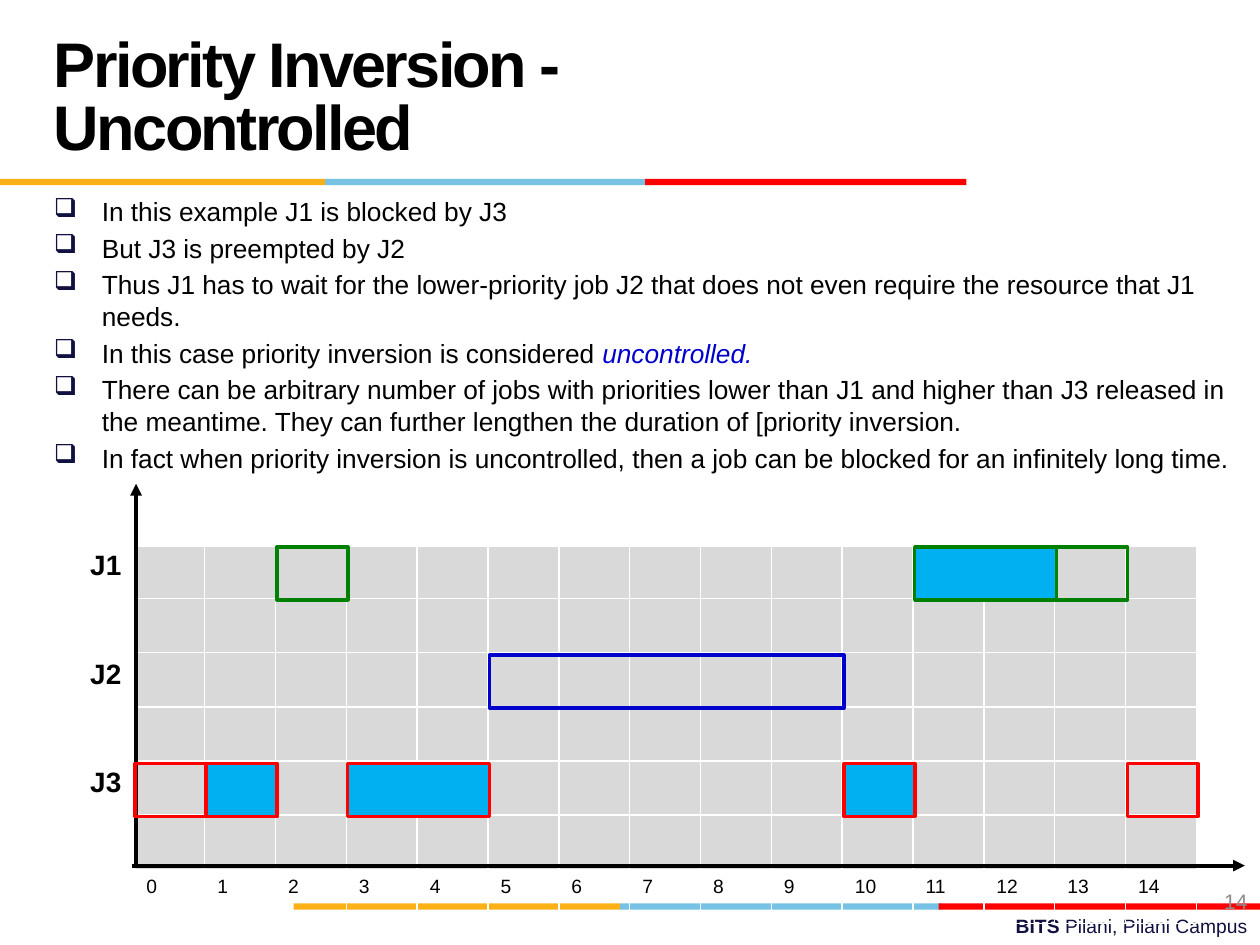
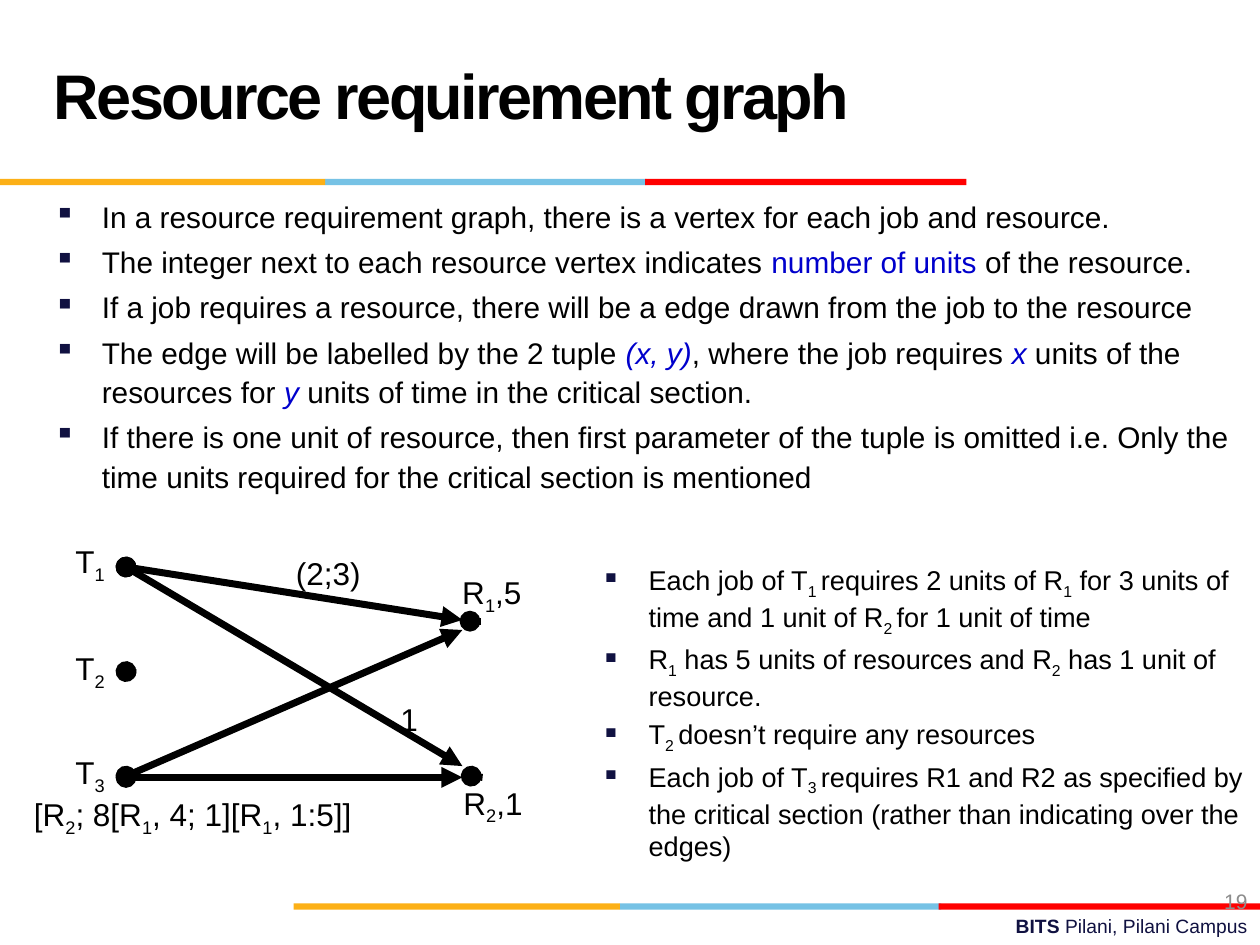
from dataclasses import dataclass
from typing import NamedTuple

from lxml.etree import SubElement
from pptx import Presentation
from pptx.dml.color import RGBColor
from pptx.enum.shapes import MSO_CONNECTOR, MSO_SHAPE
from pptx.enum.text import MSO_ANCHOR, PP_ALIGN
from pptx.oxml.ns import qn
from pptx.util import Inches, Pt

FONT = "Arial"
BLACK, WHITE, NAVY, GREY, BLUE = "000000", "FFFFFF", "101141", "8C8C8C", "0000CC"
GREEN, RED, BUSY, CELL = "008000", "FF0000", "00B0F0", "D9D9D9"
ORANGE, SKY = "FCB017", "76C2E5"

GRID_LEFT, GRID_TOP, GRID_WIDTH, GRID_HEIGHT = 0.5, 3.89, 9, 3.44
GRID_COLUMNS, GRID_ROWS = 16, 8
TIME_STEP = GRID_WIDTH / GRID_COLUMNS
TIME_ORIGIN = GRID_LEFT + TIME_STEP + 0.01
JOB_TOP, JOB_PITCH, JOB_HEIGHT = 4.34, 0.86, 0.42


class Band(NamedTuple):
    """A coloured strip of the title rule or footer rule."""
    left: float
    top: float
    width: float
    color: str


class Span(NamedTuple):
    """A stretch of text with its own look."""
    text: str
    color: str = BLACK
    italic: bool = False
    bold: bool = False
    subscript: bool = False


@dataclass
class TextStyle:
    """How the paragraphs of a text box are set."""
    size: float
    align: PP_ALIGN = PP_ALIGN.LEFT
    anchor: MSO_ANCHOR = MSO_ANCHOR.TOP
    line_spacing: float | Pt | None = None
    bullet: str = ""
    tracking: int = 0
    wrap: bool = True


class Execution(NamedTuple):
    """A period in which a job runs; holding means it uses the resource."""
    job: int
    start: int
    end: int
    holding: bool = False


class Edge(NamedTuple):
    """A line between two points with its line ends."""
    start: tuple[float, float]
    end: tuple[float, float]
    width: float = 4
    head: str = "oval"
    tail: str = "triangle"


class Label(NamedTuple):
    """A one-line caption of the graph."""
    left: float
    top: float
    width: float
    spans: list[Span]


def sub(text: str) -> Span:
    """Return a subscript span."""
    return Span(text, subscript=True)


BANDS = [
    Band(2.58, 1.42, 2.55, SKY), Band(0, 1.42, 2.58, ORANGE), Band(5.12, 1.42, 2.55, RED),
    Band(4.92, 7.17, 2.55, SKY), Band(2.33, 7.17, 2.59, ORANGE), Band(7.45, 7.17, 2.55, RED),
]
TITLE = TextStyle(36, anchor=MSO_ANCHOR.MIDDLE, line_spacing=Pt(36), tracking=-150)
FOOTER = TextStyle(11, align=PP_ALIGN.RIGHT)
NUMBER = TextStyle(12, align=PP_ALIGN.RIGHT, anchor=MSO_ANCHOR.MIDDLE)
CAPTION = TextStyle(18, wrap=False)

INVERSION_POINTS = [
    [Span("In this example J1 is blocked by J3")],
    [Span("But J3 is preempted by J2")],
    [Span("Thus J1 has to wait for the lower-priority job J2 that does not even "
          "require the resource that J1 needs.")],
    [Span("In this case priority inversion is considered "),
     Span("uncontrolled.", BLUE, italic=True)],
    [Span("There can be arbitrary number of jobs with priorities lower than J1 and "
          "higher than J3 released in the meantime. They can further lengthen the "
          "duration of [priority inversion.")],
    [Span("In fact when priority inversion is uncontrolled, then a job can be blocked "
          "for an infinitely long time.")],
]
JOB_COLORS = [GREEN, BLUE, RED]
EXECUTIONS = [
    Execution(0, 2, 3), Execution(2, 0, 1), Execution(1, 5, 10),
    Execution(2, 1, 2, True), Execution(2, 3, 5, True), Execution(0, 11, 13, True),
    Execution(0, 13, 14), Execution(2, 10, 11, True), Execution(2, 14, 15),
]
AXES = [
    Edge((1.08, 6.87), (1.08, 3.84), 2.25, head="none"),
    Edge((1.05, 6.87), (9.88, 6.87), 2.25, head="none"),
]

GRAPH_POINTS = [
    [Span("In a resource requirement graph, there is a vertex for each job and resource.")],
    [Span("The integer next to each resource vertex indicates "),
     Span("number of units ", BLUE), Span("of the resource.")],
    [Span("If a job requires a resource, there will be a edge drawn from the job to "
          "the resource")],
    [Span("The edge will be labelled by the 2 tuple "), Span("(x, y)", BLUE, italic=True),
     Span(", where the job requires "), Span("x", BLUE, italic=True),
     Span(" units of the resources for "), Span("y", BLUE, italic=True),
     Span(" units of time in the critical section.")],
    [Span("If there is one unit of resource, then first parameter of the tuple is "
          "omitted i.e. Only the time units required for the critical section is "
          "mentioned")],
]
EXAMPLE_POINTS = [
    [Span("Each job of T"), sub("1 "), Span("requires 2 units of R"), sub("1"),
     Span(" for 3 units of time and 1 unit of R"), sub("2 "), Span("for 1 unit of time")],
    [Span("R"), sub("1"), Span(" has 5 units of resources and R"), sub("2"),
     Span(" has 1 unit of resource.")],
    [Span("T"), sub("2 "), Span("doesn’t require any resources")],
    [Span("Each job of T"), sub("3 "),
     Span("requires R1 and R2 as specified by the critical section (rather than "
          "indicating over the edges)")],
]
GRAPH_EDGES = [
    Edge((1, 4.5), (3.67, 4.92)),
    Edge((1, 6.16), (3.67, 5)),
    Edge((3.73, 4.93), (3.82, 4.93), tail="none"),
    Edge((1, 5.33), (1.08, 5.34), tail="none"),
    Edge((3.74, 6.16), (3.83, 6.17), tail="none"),
    Edge((1, 4.5), (3.67, 6.08)),
    Edge((1, 6.17), (3.67, 6.17)),
]
GRAPH_LABELS = [
    Label(0.5, 4.25, 0.45, [Span("T"), sub("1")]),
    Label(0.5, 5.1, 0.45, [Span("T"), sub("2")]),
    Label(0.5, 5.93, 0.45, [Span("T"), sub("3")]),
    Label(0.17, 6.26, 2.78, [Span("[R"), sub("2"), Span("; 8[R"), sub("1"),
                             Span(", 4; 1][R"), sub("1"), Span(", 1:5]]")]),
    Label(3.57, 4.5, 0.69, [Span("R"), sub("1"), Span(",5")]),
    Label(3.58, 6.17, 0.69, [Span("R"), sub("2"), Span(",1")]),
    Label(3.08, 5.51, 0.34, [Span("1")]),
    Label(2.25, 4.35, 0.72, [Span("(2;3)")]),
]


def rgb(color: str) -> RGBColor:
    """Turn a hex string into a colour."""
    return RGBColor.from_string(color)


def add_run(paragraph, span: Span, size: float, tracking: int = 0) -> None:
    """Add one formatted run to a paragraph."""
    run = paragraph.add_run()
    run.text = span.text
    run.font.name, run.font.size = FONT, Pt(size)
    run.font.bold, run.font.italic = span.bold, span.italic
    run.font.color.rgb = rgb(span.color)
    properties = run._r.get_or_add_rPr()
    if span.subscript:
        properties.set("baseline", "-25000")
    if tracking:
        properties.set("spc", str(tracking))


def add_bullet(paragraph, character: str) -> None:
    """Give a paragraph a hanging navy bullet."""
    properties = paragraph._p.get_or_add_pPr()
    properties.set("marL", str(Inches(0.38)))
    properties.set("indent", str(-Inches(0.38)))
    color = SubElement(properties, qn("a:buClr"))
    SubElement(color, qn("a:srgbClr"), val=NAVY)
    SubElement(properties, qn("a:buChar"), char=character)


def add_text(slide, left: float, top: float, width: float, height: float,
             paragraphs: list[list[Span]], style: TextStyle) -> None:
    """Add a text box with one paragraph for each list of spans."""
    shape = slide.shapes.add_textbox(Inches(left), Inches(top), Inches(width), Inches(height))
    frame = shape.text_frame
    frame.word_wrap, frame.vertical_anchor = style.wrap, style.anchor
    for index, spans in enumerate(paragraphs):
        paragraph = frame.add_paragraph() if index else frame.paragraphs[0]
        if style.bullet:
            add_bullet(paragraph, style.bullet)
        paragraph.alignment = style.align
        paragraph.line_spacing = style.line_spacing
        if index:
            paragraph.space_before = Pt(style.size * 0.2)
        for span in spans:
            add_run(paragraph, span, style.size, style.tracking)


def add_rectangle(slide, left: float, top: float, width: float, height: float,
                  fill: str = "", line: str = "") -> None:
    """Add a rectangle with an optional fill and outline."""
    shape = slide.shapes.add_shape(MSO_SHAPE.RECTANGLE, Inches(left), Inches(top),
                                   Inches(width), Inches(height))
    shape.shadow.inherit = False
    if fill:
        shape.fill.solid()
        shape.fill.fore_color.rgb = rgb(fill)
    else:
        shape.fill.background()
    if line:
        shape.line.color.rgb, shape.line.width = rgb(line), Pt(2)
    else:
        shape.line.fill.background()


def add_edge(slide, edge: Edge) -> None:
    """Add a straight black connector with its line ends."""
    connector = slide.shapes.add_connector(
        MSO_CONNECTOR.STRAIGHT, *map(Inches, edge.start), *map(Inches, edge.end))
    connector.line.color.rgb, connector.line.width = rgb(BLACK), Pt(edge.width)
    properties = connector._element.spPr
    line = properties.find(qn("a:ln"))
    SubElement(line, qn("a:headEnd"), type=edge.head)
    SubElement(line, qn("a:tailEnd"), type=edge.tail)
    SubElement(properties, qn("a:effectLst"))


def set_borders(cell, top: float, bottom: float) -> None:
    """Draw white borders around a cell, with widths in points."""
    properties = cell._tc.get_or_add_tcPr()
    sides = [("lnL", 1), ("lnR", 1), ("lnT", top), ("lnB", bottom)]
    for index, (side, width) in enumerate(sides):
        line = SubElement(properties, qn(f"a:{side}"), w=str(Pt(width)))
        fill = SubElement(line, qn("a:solidFill"))
        SubElement(fill, qn("a:srgbClr"), val=WHITE)
        properties.insert(index, line)


def add_schedule_grid(slide) -> None:
    """Add the table with job names on the left and times below."""
    table = slide.shapes.add_table(
        GRID_ROWS, GRID_COLUMNS, Inches(GRID_LEFT), Inches(GRID_TOP),
        Inches(GRID_WIDTH), Inches(GRID_HEIGHT)).table
    table.first_row = table.horz_banding = False
    last = GRID_ROWS - 1
    for row in range(GRID_ROWS):
        for column in range(GRID_COLUMNS):
            cell = table.cell(row, column)
            if column and 0 < row < last:
                cell.fill.solid()
                cell.fill.fore_color.rgb = rgb(CELL)
            else:
                cell.fill.background()
            set_borders(cell, 3 if row == 1 else 1, 3 if row == 0 else 1)
            paragraph = cell.text_frame.paragraphs[0]
            if column and row == last:
                add_run(paragraph, Span(str(column - 1)), 11)
            elif column == 0 and row in (1, 3, 5):
                paragraph.alignment = PP_ALIGN.RIGHT
                add_run(paragraph, Span(f"J{row // 2 + 1}", bold=True), 16)


def add_base_slide(presentation, title: str, number: int):
    """Add a slide with the title, bands, footer and slide number."""
    slide = presentation.slides.add_slide(presentation.slide_layouts[6])
    add_text(slide, 3.58, 7.21, 6.42, 0.29,
             [[Span("BITS ", NAVY, bold=True), Span("Pilani, Pilani Campus", NAVY)]], FOOTER)
    for band in BANDS:
        add_rectangle(slide, band.left, band.top, band.width, 0.05, band.color)
    add_text(slide, 0.33, 0.17, 6.92, 1.25, [[Span(title, bold=True)]], TITLE)
    add_text(slide, 7.67, 6.95, 2.33, 0.4, [[Span(str(number), GREY)]], NUMBER)
    return slide


def build_inversion_slide(presentation) -> None:
    """Build the slide with the schedule of three jobs."""
    slide = add_base_slide(presentation, "Priority Inversion - Uncontrolled", 14)
    add_text(slide, 0.33, 1.5, 9.55, 2.76, INVERSION_POINTS, TextStyle(15, bullet="❑"))
    add_schedule_grid(slide)
    for axis in AXES:
        add_edge(slide, axis)
    for job, start, end, holding in EXECUTIONS:
        add_rectangle(slide, TIME_ORIGIN + start * TIME_STEP, JOB_TOP + job * JOB_PITCH,
                      (end - start) * TIME_STEP, JOB_HEIGHT,
                      BUSY if holding else "", JOB_COLORS[job])


def build_graph_slide(presentation) -> None:
    """Build the slide with the resource requirement graph."""
    slide = add_base_slide(presentation, "Resource requirement graph", 19)
    for edge in GRAPH_EDGES:
        add_edge(slide, edge)
    for label in GRAPH_LABELS:
        add_text(slide, label.left, label.top, label.width, 0.4, [label.spans], CAPTION)
    add_text(slide, 4.67, 4.42, 5.33, 2.5, EXAMPLE_POINTS, TextStyle(15.5, bullet="▪"))
    add_text(slide, 0.33, 1.5, 9.67, 2.67, GRAPH_POINTS,
             TextStyle(17, bullet="▪", line_spacing=1.1))


def main() -> None:
    """Build and save the presentation."""
    presentation = Presentation()
    presentation.slide_width, presentation.slide_height = Inches(10), Inches(7.5)
    build_inversion_slide(presentation)
    build_graph_slide(presentation)
    presentation.save("out.pptx")


if __name__ == "__main__":
    main()
